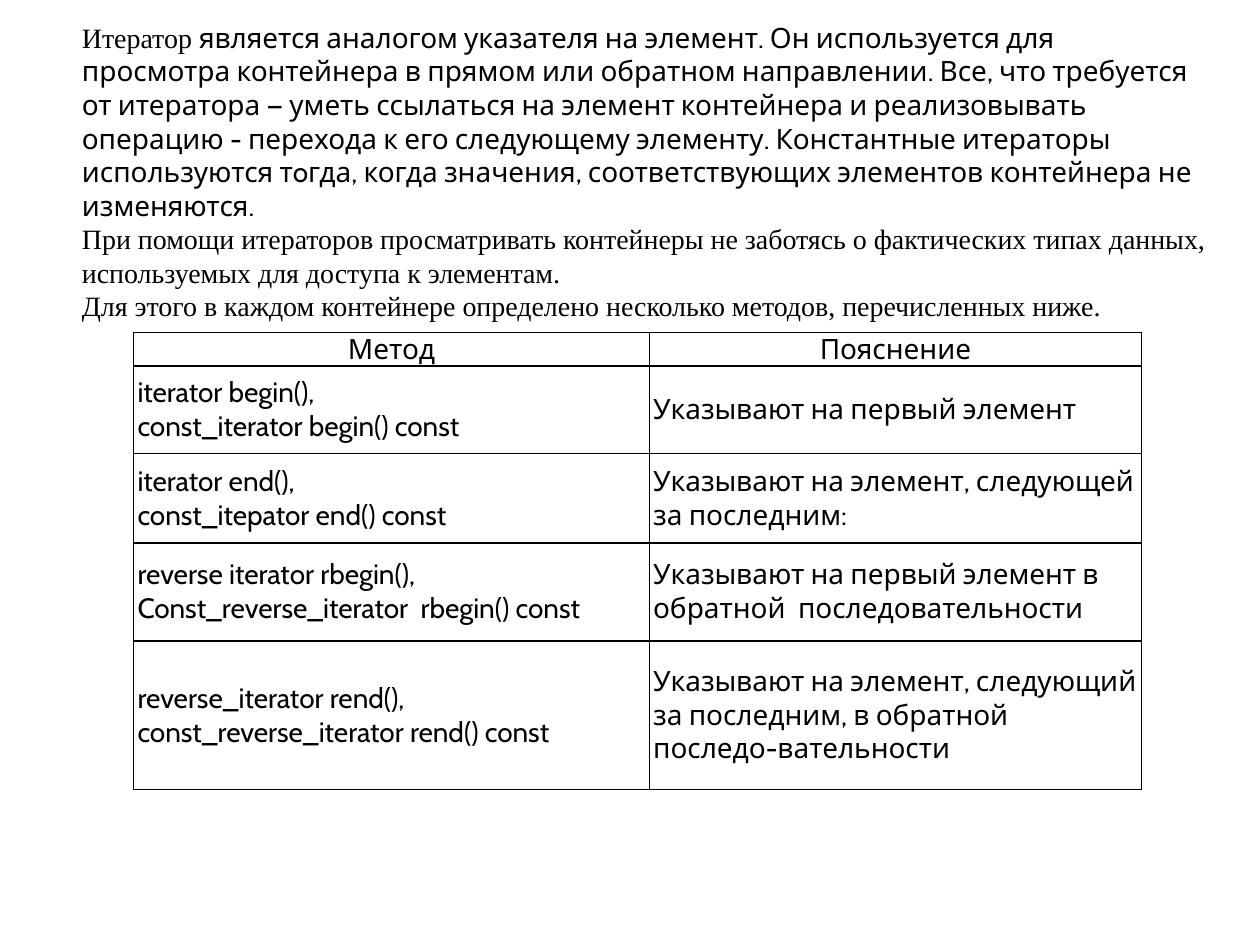
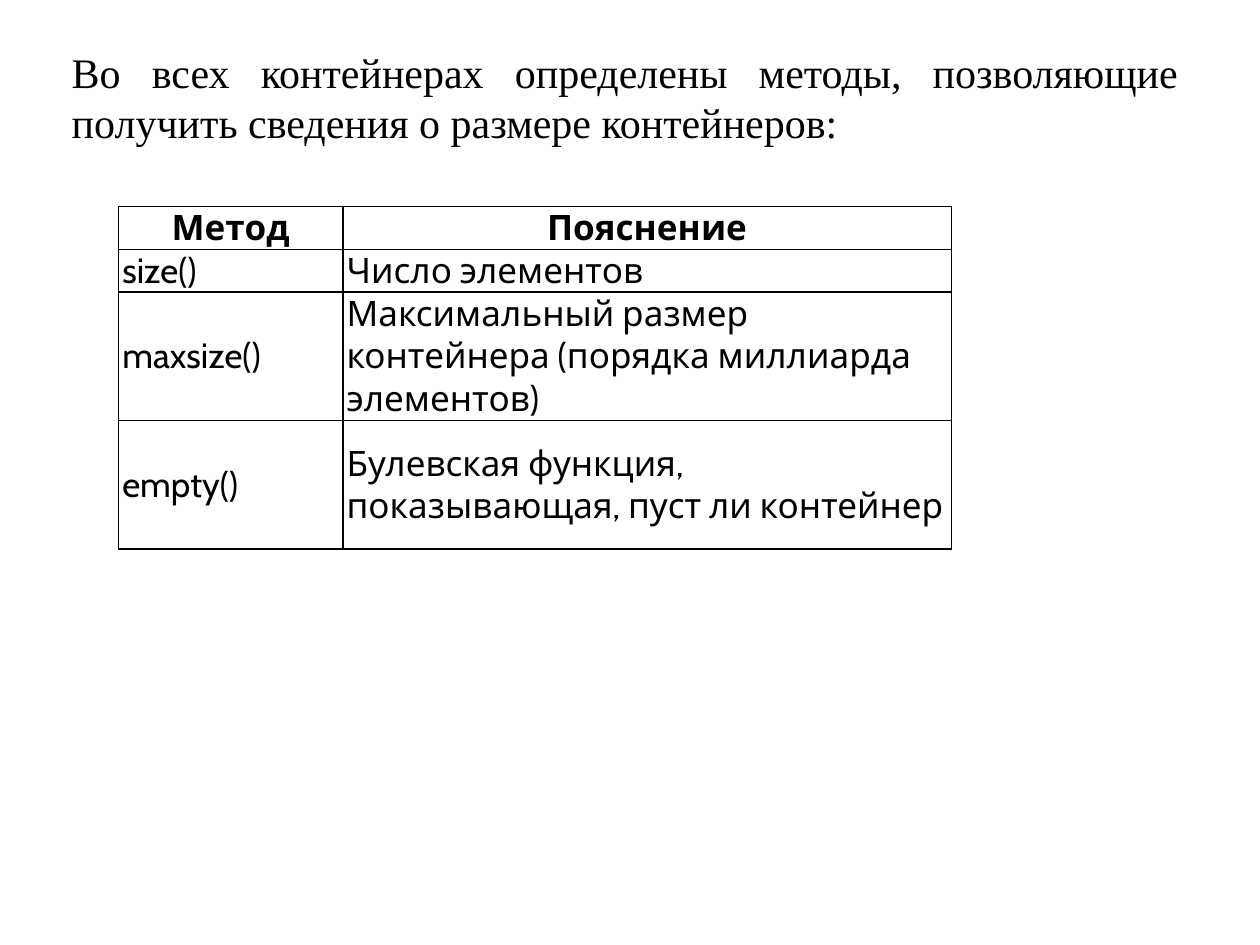
"""Build two slides on container iterators and size methods."""
from dataclasses import dataclass
from typing import Any, NamedTuple

from lxml.etree import SubElement
from pptx import Presentation
from pptx.dml.color import RGBColor
from pptx.enum.text import MSO_ANCHOR, MSO_AUTO_SIZE, PP_ALIGN
from pptx.oxml import parse_xml
from pptx.oxml.ns import nsdecls, qn
from pptx.util import Pt


@dataclass(frozen=True)
class Theme:
    """Colours, fonts and sizes shared by the slides."""

    ink: str = "000000"
    serif: str = "Times New Roman"
    sans: str = "Cabin"
    small: int = 16
    large: int = 20
    head: int = 24
    rule: int = 1
    inset: float = 2.2


class Run(NamedTuple):
    """A piece of text in one font."""

    text: str
    font: str


class Box(NamedTuple):
    """A place on the slide in points."""

    left: float
    top: float
    width: float
    height: float


@dataclass(frozen=True)
class Lead:
    """The opening text of a slide."""

    box: Box
    size: int
    align: PP_ALIGN
    paras: list[list[Run]]


@dataclass(frozen=True)
class Grid:
    """A table of methods, with its header row first."""

    left: float
    top: float
    cols: list[float]
    rows: list[float]
    size: int
    bold: bool
    cells: list[tuple[str, str]]


THEME = Theme()
HEADER = ("Метод", "Пояснение")


def put(item: Any, values: dict[str, Any]) -> None:
    """Set each named attribute of an object."""
    for name, value in values.items():
        setattr(item, name, value)


def add_run(para: Any, run: Run, size: int, bold: bool = False) -> None:
    """Add one styled run to a paragraph."""
    part = para.add_run()
    part.text = run.text
    put(part.font, {"name": run.font, "size": Pt(size), "bold": bold})
    part.font.color.rgb = RGBColor.from_string(THEME.ink)


def draw_lead(shape: Any, lead: Lead) -> None:
    """Move a placeholder and fill it with the opening text."""
    put(shape, {name: Pt(value) for name, value in lead.box._asdict().items()})
    frame = shape.text_frame
    put(frame, {"word_wrap": True, "vertical_anchor": MSO_ANCHOR.MIDDLE,
                "auto_size": MSO_AUTO_SIZE.SHAPE_TO_FIT_TEXT})
    for i, runs in enumerate(lead.paras):
        para = frame.add_paragraph() if i else frame.paragraphs[0]
        put(para, {"alignment": lead.align, "space_before": Pt(0)})
        props = para._p.get_or_add_pPr()
        for name in ("marL", "indent"):
            props.set(name, "0")
        SubElement(props, qn("a:buNone"))
        for run in runs:
            add_run(para, run, lead.size)


def draw_rules(cell: Any) -> None:
    """Clear the fill of a cell and rule its four sides."""
    cell.fill.background()
    props = cell._tc.get_or_add_tcPr()
    for i, side in enumerate("LRTB"):
        props.insert(i, parse_xml(
            f'<a:ln{side} {nsdecls("a")} w="{Pt(THEME.rule)}"><a:solidFill>'
            f'<a:srgbClr val="{THEME.ink}"/></a:solidFill></a:ln{side}>'))


def draw_grid(slide: Any, grid: Grid) -> None:
    """Draw a table with its header row centred."""
    spots = (grid.left, grid.top, sum(grid.cols), sum(grid.rows))
    table = slide.shapes.add_table(
        len(grid.rows), len(grid.cols), *map(Pt, spots)).table
    put(table, {"first_row": False, "horz_banding": False})
    for col, width in zip(table.columns, grid.cols):
        col.width = Pt(width)
    for i, (row, height) in enumerate(zip(table.rows, grid.rows)):
        row.height = Pt(height)
        for cell, text in zip(row.cells, grid.cells[i]):
            put(cell, {"vertical_anchor": MSO_ANCHOR.MIDDLE,
                       "margin_left": Pt(THEME.inset), "margin_right": Pt(THEME.inset),
                       "margin_top": 0, "margin_bottom": 0})
            draw_rules(cell)
            for j, line in enumerate(text.split("\n")):
                frame = cell.text_frame
                para = frame.add_paragraph() if j else frame.paragraphs[0]
                para.alignment = PP_ALIGN.LEFT if i else PP_ALIGN.CENTER
                add_run(para, Run(line, THEME.sans), grid.size, grid.bold and i == 0)


ITER_LEAD = Lead(
    Box(39.6, 16.6, 658, 162.7), THEME.small, PP_ALIGN.LEFT,
    [
        [Run("Итератор ", THEME.serif),
         Run("является аналогом указателя на элемент. Он используется для просмотра "
             "контейнера в прямом или обратном направлении. Все, что требуется от "
             "итератора — уметь ссылаться на элемент контейнера и реализовывать "
             "операцию - перехода к его следующему элементу. Константные итераторы "
             "используются тoгда, когда значения, соответствующих элементов "
             "контейнера не изменяются.", THEME.sans)],
        [Run("При помощи итераторов просматривать контейнеры не заботясь о "
             "фактических типах данных, используемых для доступа к элементам. ",
             THEME.serif)],
        [Run("Для этого в каждом контейнере определено несколько методов, "
             "перечисленных ниже.", THEME.serif)],
    ])

ITER_GRID = Grid(
    76.4, 190, [294.7, 281.3], [18.7, 49.9, 51.1, 56, 85], THEME.small, False,
    [
        HEADER,
        ("iterator begin(),\nconst_iterator begin() const",
         "Указывают на первый элемент"),
        ("iterator end(), \nconst_itepator end() const",
         "Указывают на элемент, следующей за последним:"),
        ("reverse iterator rbegin(),  \nConst_reverse_iterator  rbegin() const",
         "Указывают на первый элемент в обратной  последовательности"),
        ("reverse_iterator rend(), \nconst_reverse_iterator rend() const",
         "Указывают на элемент, следующий за последним, в обратной "
         "последо-вательности"),
    ])

SIZE_LEAD = Lead(
    Box(33.8, 22.3, 646.6, 65.5), THEME.head, PP_ALIGN.JUSTIFY,
    [[Run("Во всех контейнерах определены методы, позволяющие получить сведения "
          "о размере контейнеров:", THEME.serif)]])

SIZE_GRID = Grid(
    67.7, 118, [128.2, 347.8], [24.5, 24.5, 73.4, 73.4], THEME.large, True,
    [
        HEADER,
        ("size()", "Число элементов"),
        ("maxsize()", "Максимальный размер контейнера (порядка миллиарда элементов)"),
        ("empty()", "Булевская функция, показывающая, пуст ли контейнер"),
    ])


def main() -> None:
    """Build the deck and save it."""
    deck = Presentation()
    put(deck, {"slide_width": Pt(720), "slide_height": Pt(540)})
    body, title = deck.slide_layouts[1], deck.slide_layouts[5]
    for layout, index, lead, grid in ((body, 1, ITER_LEAD, ITER_GRID),
                                      (title, 0, SIZE_LEAD, SIZE_GRID)):
        slide = deck.slides.add_slide(layout)
        draw_lead(slide.placeholders[index], lead)
        draw_grid(slide, grid)
        for shape in list(slide.placeholders):
            if not shape.text_frame.text:
                shape._element.getparent().remove(shape._element)
    deck.save("out.pptx")


main()
